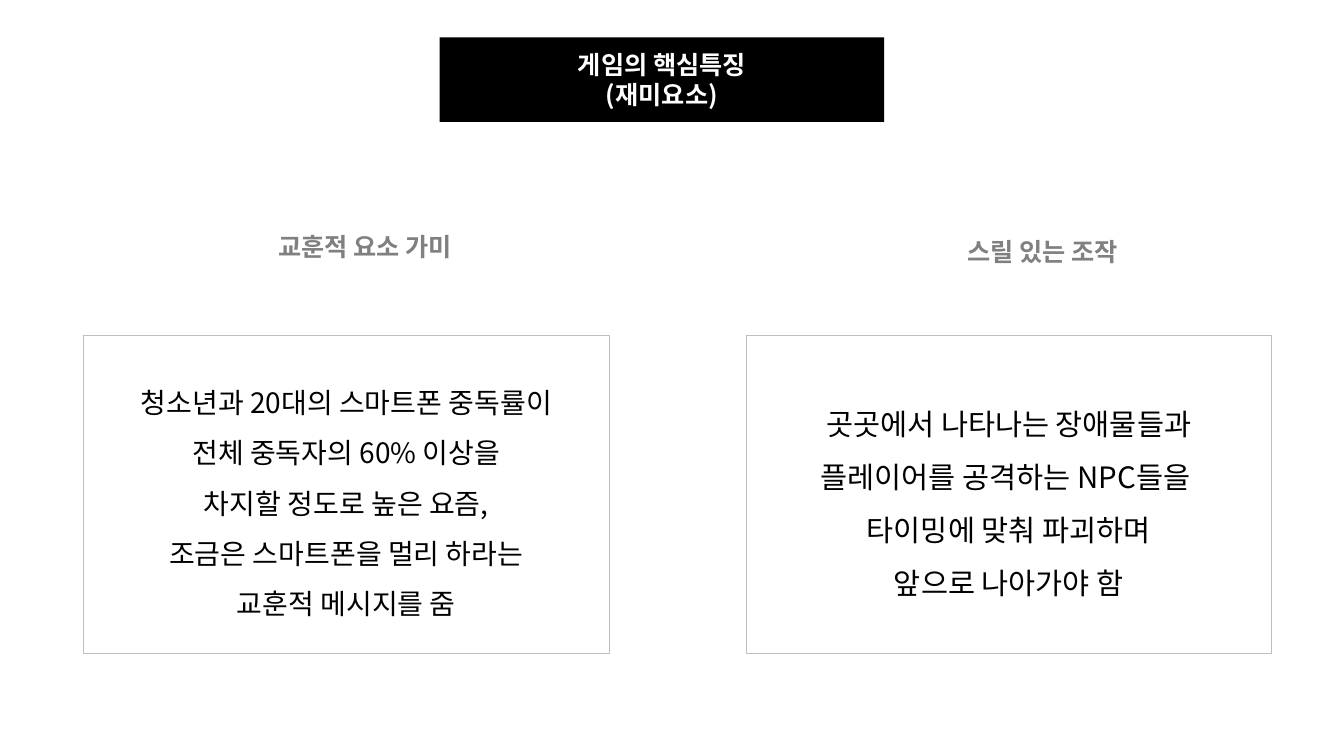
import lxml.etree
import pptx
import pptx.dml.color
import pptx.enum.shapes
import pptx.enum.text
import pptx.oxml.ns
import pptx.util

Inches = pptx.util.Inches
BLACK = pptx.dml.color.RGBColor(0x00, 0x00, 0x00)
WHITE = pptx.dml.color.RGBColor(0xFF, 0xFF, 0xFF)
GRAY = pptx.dml.color.RGBColor(0x80, 0x80, 0x80)
BORDER = pptx.dml.color.RGBColor(0xBF, 0xBF, 0xBF)
FONT_NAME = "Noto Sans CJK KR"
PANEL_WIDTH, PANEL_HEIGHT = 5.21, 3.15
PANELS = [
    {
        "box": (0.83, 3.33, PANEL_WIDTH, PANEL_HEIGHT),
        "heading": "교훈적 요소 가미",
        "heading_offset": (0.27, -1.11),
        "size": 20,
        "lines": [
            "청소년과 20대의 스마트폰 중독률이",
            "전체 중독자의 60% 이상을",
            "차지할 정도로 높은 요즘,",
            "조금은 스마트폰을 멀리 하라는",
            "교훈적 메시지를 줌",
        ],
    },
    {
        "box": (7.4, 3.33, PANEL_WIDTH, PANEL_HEIGHT),
        "heading": "스릴 있는 조작",
        "heading_offset": (0.42, -1.06),
        "size": 21,
        "lines": [
            "곳곳에서 나타나는 장애물들과",
            "플레이어를 공격하는 NPC들을 ",
            "타이밍에 맞춰 파괴하며",
            "앞으로 나아가야 함",
        ],
    },
]


def write_lines(shape, lines, size, color, bold=False, spacing=None, anchor="MIDDLE"):
    """Fill a shape with centred paragraphs in one text format."""
    frame = shape.text_frame
    frame_format = {
        "word_wrap": True,
        "vertical_anchor": pptx.enum.text.MSO_ANCHOR[anchor],
        "margin_left": Inches(0.13),
        "margin_right": Inches(0.13),
        "margin_top": Inches(0.07),
        "margin_bottom": Inches(0.07),
    }
    for name, value in frame_format.items():
        setattr(frame, name, value)
    font_format = {"name": FONT_NAME, "size": pptx.util.Pt(size), "bold": bold}
    for index, line in enumerate(lines):
        paragraph = frame.add_paragraph() if index else frame.paragraphs[0]
        paragraph.alignment = pptx.enum.text.PP_ALIGN.CENTER
        paragraph.line_spacing = spacing
        run = paragraph.add_run()
        run.text = line
        for name, value in font_format.items():
            setattr(run.font, name, value)
        run.font.color.rgb = color
        properties = run._r.get_or_add_rPr()
        east_asian = lxml.etree.SubElement(properties, pptx.oxml.ns.qn("a:ea"))
        east_asian.set("typeface", FONT_NAME)


def add_rectangle(slide, box):
    """Add a plain rectangle without a shadow."""
    shape = slide.shapes.add_shape(
        pptx.enum.shapes.MSO_SHAPE.RECTANGLE, *map(Inches, box)
    )
    shape.shadow.inherit = False
    return shape


def add_banner(slide, box):
    """Add the black title banner."""
    banner = add_rectangle(slide, box)
    banner.fill.solid()
    banner.fill.fore_color.rgb = BLACK
    banner.line.fill.background()
    write_lines(banner, ["게임의 핵심특징", "(재미요소)"], 18, WHITE, bold=True)


def add_panel(slide, box, heading, heading_offset, size, lines):
    """Add a framed description with its heading above."""
    panel = add_rectangle(slide, box)
    panel.fill.background()
    panel.line.color.rgb = BORDER
    panel.line.width = pptx.util.Pt(0.5)
    write_lines(panel, lines, size, BLACK, spacing=1.5)
    left, top = box[0] + heading_offset[0], box[1] + heading_offset[1]
    label = slide.shapes.add_textbox(*map(Inches, (left, top, 5.04, 0.44)))
    write_lines(label, [heading], 18, GRAY, bold=True, anchor="TOP")
    label.text_frame.auto_size = pptx.enum.text.MSO_AUTO_SIZE.SHAPE_TO_FIT_TEXT


def main():
    """Build and save the game features slide."""
    presentation = pptx.Presentation()
    presentation.slide_width = Inches(13.33)
    presentation.slide_height = Inches(7.5)
    slide = presentation.slides.add_slide(presentation.slide_layouts[6])
    add_banner(slide, (4.36, 0.37, 4.41, 0.84))
    for panel in PANELS:
        add_panel(slide, **panel)
    presentation.save("out.pptx")


if __name__ == "__main__":
    main()
